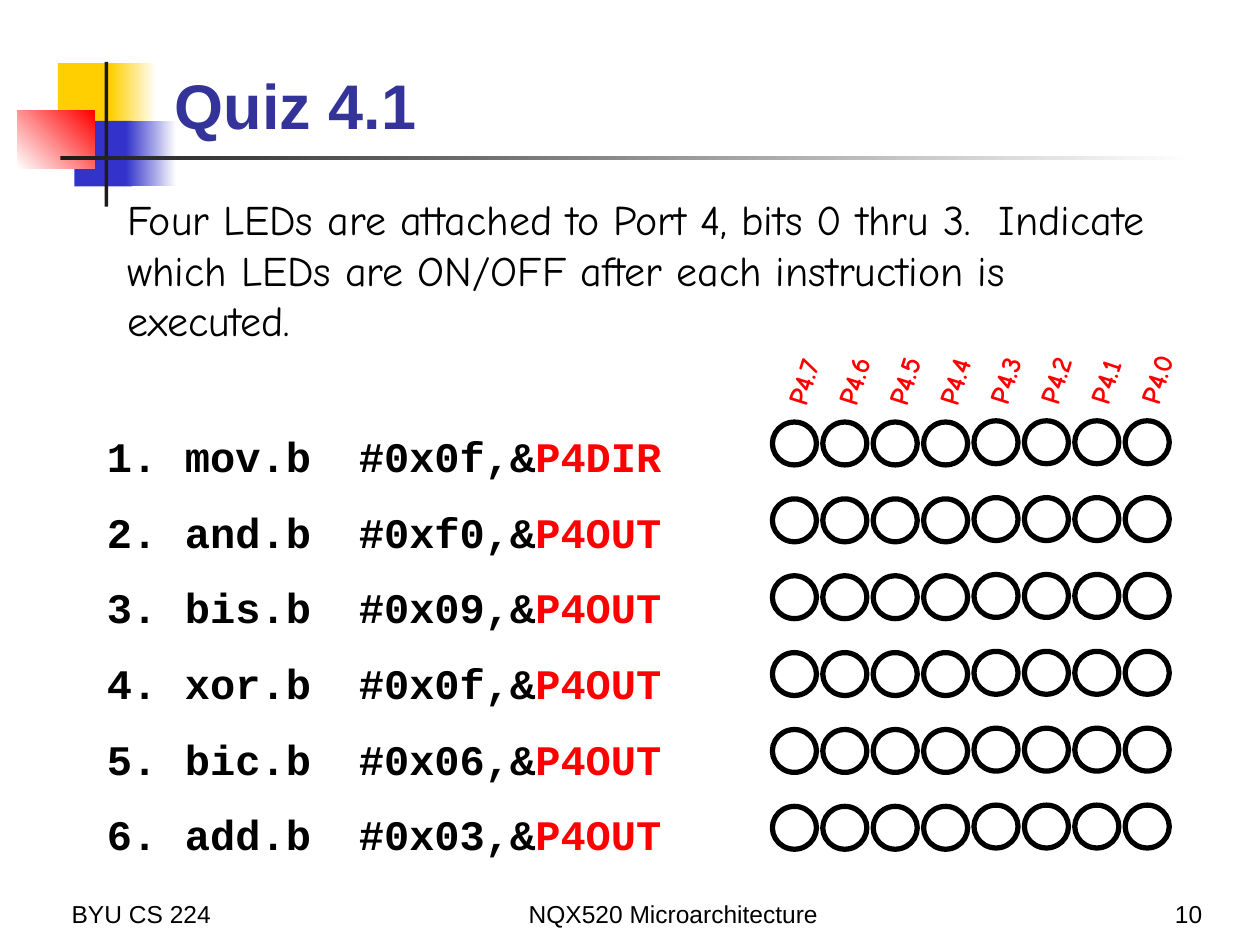
from lxml import etree
from pptx import Presentation
from pptx import util as u
from pptx.dml.color import RGBColor
from pptx.enum import shapes, text
from pptx.oxml import ns

Inches = u.Inches

COLORS = {
    "black": "000000",
    "white": "FFFFFF",
    "red": "FF0000",
    "yellow": "FFCF01",
    "blue": "3333CC",
    "title": "333399",
    "rule": "1C1C1C",
}

BODY = {"name": "Comic Neue", "size": u.Pt(24)}
TITLE = {"name": "Arial", "size": u.Pt(36), "bold": True}
FOOTER = {"name": "Arial", "size": u.Pt(14)}
CODE = {"name": "Courier New", "size": u.Pt(24), "bold": True}
PORT_LABEL = {"name": "Comic Neue", "size": u.Pt(16), "bold": True}

GROW = text.MSO_AUTO_SIZE.SHAPE_TO_FIT_TEXT
BOTTOM = text.MSO_ANCHOR.BOTTOM

# Left, top, width, height, colours from start to end, gradient angle
DECORATION = [
    (0.46, 0.5, 0.48, 0.52, ["yellow"], 0),
    (0.88, 0.5, 0.36, 0.52, ["yellow", "white"], 0),
    (0.59, 0.96, 0.46, 0.52, ["blue"], 0),
    (1, 0.96, 0.4, 0.52, ["blue", "white"], 0),
    (0.14, 0.88, 0.61, 0.46, ["white", "red"], 45),
    (0.83, 0.49, 0.03, 1.15, ["rule"], 0),
    (0.48, 1.24, 9, 0.03, ["rule", "white"], 0),
]

INSTRUCTIONS = [
    ("mov.b\t#0x0f,&", "P4DIR"),
    ("and.b\t#0xf0,&", "P4OUT"),
    ("bis.b\t#0x09,&", "P4OUT"),
    ("xor.b\t#0x0f,&", "P4OUT"),
    ("bic.b\t#0x06,&", "P4OUT"),
    ("add.b\t#0x03,&", "P4OUT"),
]

# LED grid
LED_WIDTH, LED_HEIGHT = 0.35, 0.34
COLUMN_STEP, ROW_STEP = 0.4, 0.61
LABEL_SHIFT, LABEL_RISE = 0.17, 0.68
NIBBLES = [(7, 6.13, 3.35), (3, 7.73, 3.34)]  # high bit, left, top


def rgb(color):
    return RGBColor.from_string(COLORS[color])


def set_values(target, values):
    for name, value in values.items():
        setattr(target, name, value)


def add_run(paragraph, content, font, color):
    run = paragraph.add_run()
    run.text = content
    set_values(run.font, font)
    run.font.color.rgb = rgb(color)


def add_frame(parent, box, **frame_values):
    shape = parent.add_textbox(*map(Inches, box))
    set_values(shape.text_frame, {"word_wrap": True, **frame_values})
    return shape


def add_label(parent, box, content, font, color="black", align=None, **frame_values):
    shape = add_frame(parent, box, **frame_values)
    paragraph = shape.text_frame.paragraphs[0]
    paragraph.alignment = align
    add_run(paragraph, content, font, color)
    return shape


def add_block(parent, box, colors, angle):
    block = parent.add_shape(shapes.MSO_SHAPE.RECTANGLE, *map(Inches, box))
    block.shadow.inherit = False
    block.line.fill.background()
    if len(colors) == 1:
        block.fill.solid()
        block.fill.fore_color.rgb = rgb(colors[0])
    else:
        block.fill.gradient()
        block.fill.gradient_angle = angle
        for stop, color in zip(block.fill.gradient_stops, colors):
            stop.color.rgb = rgb(color)


def add_led(parent, left, top):
    led = parent.add_shape(
        shapes.MSO_SHAPE.OVAL,
        *map(Inches, (left, top, LED_WIDTH, LED_HEIGHT)),
    )
    led.shadow.inherit = False
    led.fill.background()
    led.line.color.rgb = rgb("black")
    led.line.width = u.Pt(3)


def number_paragraph(paragraph):
    properties = paragraph._p.get_or_add_pPr()
    properties.set("marL", str(Inches(0.62)))
    properties.set("indent", str(-Inches(0.62)))
    numbering = etree.SubElement(properties, ns.qn("a:buAutoNum"))
    numbering.set("type", "arabicPeriod")


def add_instructions(parent):
    shape = add_frame(parent, (0.75, 3.17, 5, 3.74), auto_size=GROW)
    frame = shape.text_frame
    for index, (operation, register) in enumerate(INSTRUCTIONS):
        paragraph = frame.add_paragraph() if index else frame.paragraphs[0]
        number_paragraph(paragraph)
        paragraph.line_spacing = 1.5
        add_run(paragraph, operation, CODE, "black")
        add_run(paragraph, register, CODE, "red")


def add_nibble(parent, high_bit, left, top):
    group = parent.add_group_shape().shapes
    columns = [left + COLUMN_STEP * column for column in range(4)]
    for column, led_left in enumerate(columns):
        label = add_label(
            group,
            (led_left - LABEL_SHIFT, top - LABEL_RISE, 0.94, 0.37),
            f"P4.{high_bit - column}",
            PORT_LABEL,
            "red",
            auto_size=GROW,
        )
        label.rotation = 287.6
    for row in range(len(INSTRUCTIONS)):
        for led_left in columns:
            add_led(group, led_left, top + ROW_STEP * row)


def main():
    presentation = Presentation()
    presentation.slide_width = Inches(10)
    presentation.slide_height = Inches(7.5)
    slide = presentation.slides.add_slide(presentation.slide_layouts[6])
    canvas = slide.shapes

    # Decoration beside the title
    for *box, colors, angle in DECORATION:
        add_block(canvas, box, colors, angle)

    # Title and question
    add_label(
        canvas,
        (0.91, 1.49, 8.41, 1.31),
        "Four LEDs are attached to Port 4, bits 0 thru 3.  Indicate which LEDs "
        "are ON/OFF after each instruction is executed.",
        BODY,
        auto_size=GROW,
    )
    add_label(
        canvas, (1.29, 0.23, 8.52, 0.95), "Quiz 4.1", TITLE, "title",
        vertical_anchor=BOTTOM,
    )

    # Footer
    for left, width, content, align in [
        (0.47, 2.08, "BYU CS 224", text.PP_ALIGN.LEFT),
        (2.78, 5.13, "NQX520 Microarchitecture", text.PP_ALIGN.CENTER),
        (7.56, 2.08, "10", text.PP_ALIGN.RIGHT),
    ]:
        add_label(
            canvas, (left, 6.92, width, 0.5), content, FOOTER, align=align,
            vertical_anchor=BOTTOM,
        )

    # Instructions and the LEDs of each port bit
    add_instructions(canvas)
    for nibble in NIBBLES:
        add_nibble(canvas, *nibble)

    presentation.save("out.pptx")


if __name__ == "__main__":
    main()
